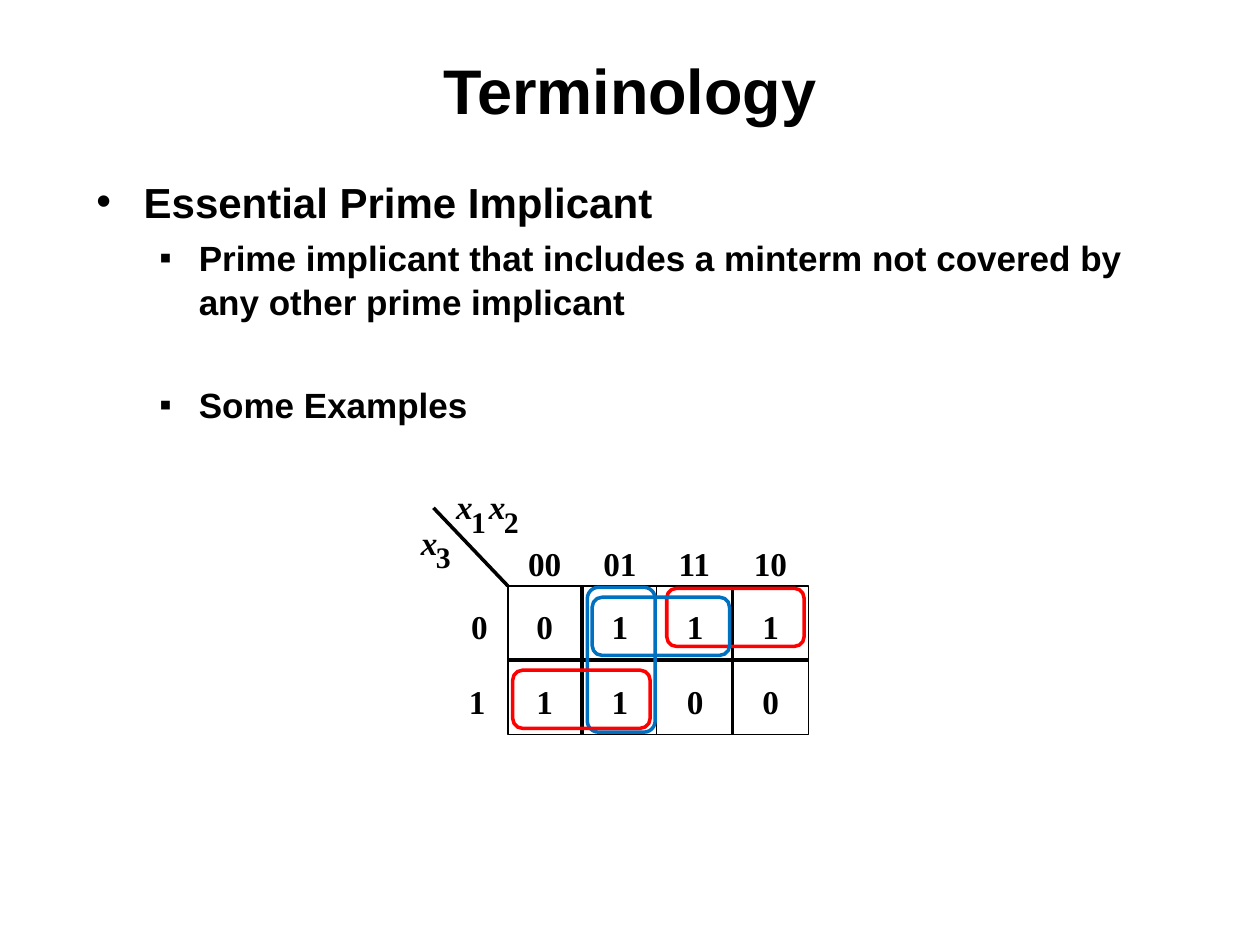
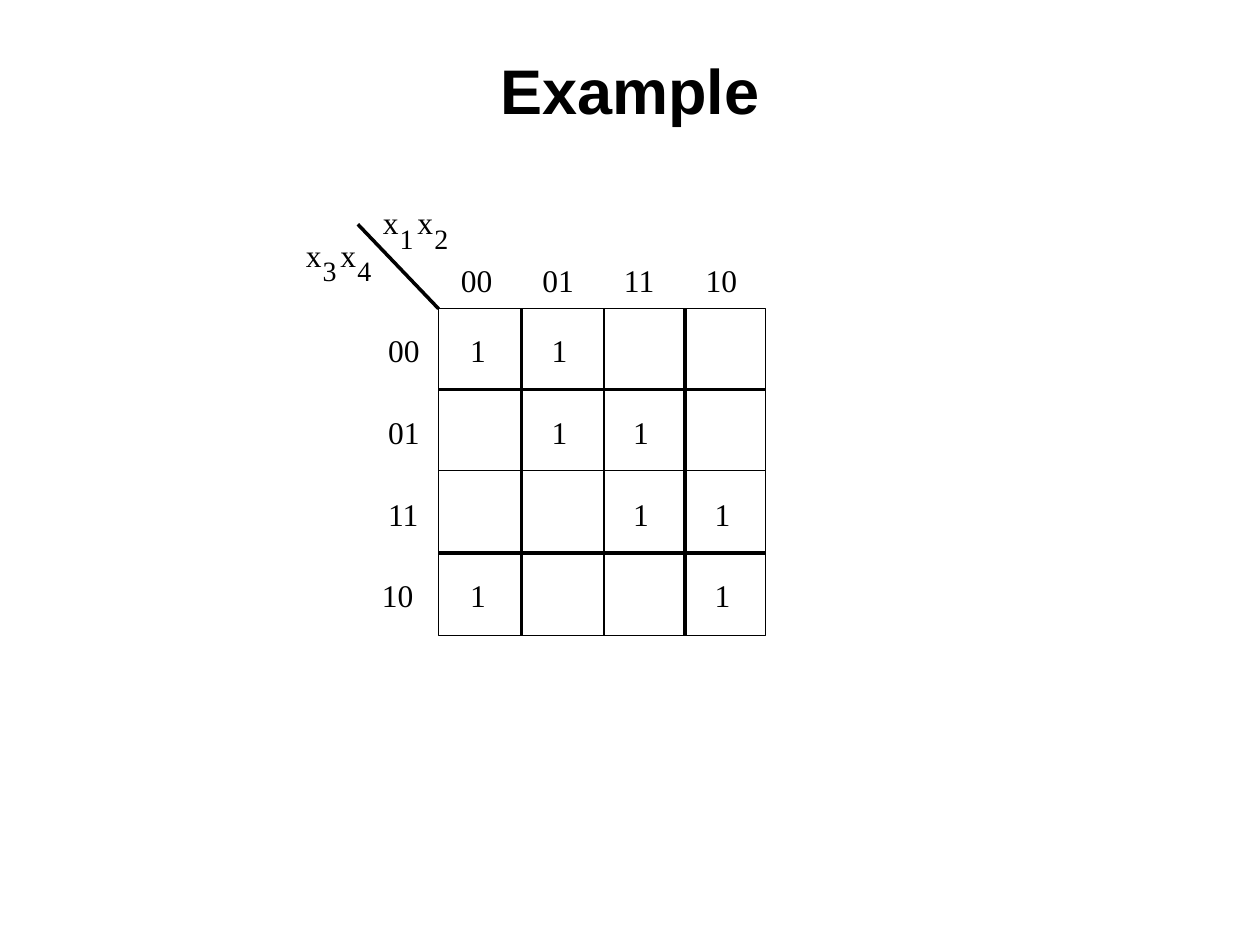
from dataclasses import dataclass

import pptx
import pptx.dml.color
import pptx.enum.shapes
import pptx.enum.text
import pptx.oxml.ns
import pptx.presentation
import pptx.shapes.autoshape
import pptx.shapes.connector
import pptx.slide
import pptx.util
from lxml import etree

Pt = pptx.util.Pt
RGBColor = pptx.dml.color.RGBColor
Shape = pptx.enum.shapes.MSO_SHAPE

BLACK = RGBColor(0x00, 0x00, 0x00)
BLUE = RGBColor(0x00, 0x70, 0xC0)
RED = RGBColor(0xFF, 0x00, 0x00)
HEADING_FONT = "Arial"
MAP_FONT = "Times New Roman"
GRAY_CODE = ("00", "01", "11", "10")


@dataclass(frozen=True)
class Bullet:
    text: str
    level: int
    mark: str
    size: float
    margin: float
    hanging: float
    space_before: float


@dataclass(frozen=True)
class Variable:
    """A letter x with its subscript."""
    subscript: str
    left: float
    top: float


@dataclass(frozen=True)
class Loop:
    """A rounded outline around a group of ones."""
    left: float
    top: float
    width: float
    height: float
    color: RGBColor


@dataclass(frozen=True)
class KarnaughMap:
    column_blocks: tuple[tuple[float, float], ...]  # left, width
    row_blocks: tuple[tuple[float, float], ...]  # top, height
    diagonal_start: tuple[float, float]
    cell_start: tuple[float, float]
    step: float
    header_start: tuple[float, float]
    row_labels: tuple[tuple[str, float], ...]  # text, left
    rows: tuple[str, ...]  # a dot is an empty cell
    variables: tuple[Variable, ...]
    subscript_offset: tuple[float, float]
    size: float
    subscript_size: float
    bold: bool = False
    italic_variables: bool = False


BULLETS = (
    Bullet("Essential Prime Implicant", 0, "•", 24, 27, 27, 0),
    Bullet("Prime implicant that includes a minterm not covered by any other "
           "prime implicant", 1, "▪", 20, 58.5, 22.5, 5),
    Bullet("Some Examples", 1, "▪", 20, 58.5, 22.5, 34),
)

THREE_VARIABLES = KarnaughMap(
    column_blocks=((290.2, 85), (375.2, 87)),
    row_blocks=((334.8, 85),),
    diagonal_start=(247.7, 290.2),
    cell_start=(306.6, 346.4),
    step=43,
    header_start=(301.8, 310.4),
    row_labels=(("0", 269.3), ("1", 268)),
    rows=("0111", "1100"),
    variables=(Variable("1", 260.7, 278), Variable("2", 279.4, 278),
               Variable("3", 240.5, 298.2)),
    subscript_offset=(8.6, 9.6),
    size=19,
    subscript_size=17,
    bold=True,
    italic_variables=True,
)

FOUR_VARIABLES = KarnaughMap(
    column_blocks=((250.6, 94.6), (345.2, 92.4)),
    row_blocks=((176.4, 92.4), (268.8, 94.4)),
    diagonal_start=(204.5, 128.2),
    cell_start=(268.6, 189.4),
    step=46.6,
    header_start=(263.4, 149),
    row_labels=(("00", 221.8), ("01", 221.8), ("11", 221.8), ("10", 218.2)),
    rows=("11..", ".11.", "..11", "1..1"),
    variables=(Variable("1", 218.8, 116), Variable("2", 238.6, 116),
               Variable("3", 174.8, 134.8), Variable("4", 194.6, 134.8)),
    subscript_offset=(9.6, 10.3),
    size=18,
    subscript_size=16,
)

LOOPS = (
    Loop(335.6, 335.6, 38.8, 82.8, BLUE),
    Loop(293, 383, 78.5, 33.2, RED),
    Loop(381, 336.2, 78.5, 33.2, RED),
    Loop(338.4, 341.3, 78.5, 33.2, BLUE),
)


def add_page(deck: pptx.presentation.Presentation, title: str) -> pptx.slide.Slide:
    page = deck.slides.add_slide(deck.slide_layouts[5])
    box = page.shapes.title
    box.left, box.top, box.width, box.height = Pt(0), Pt(24), Pt(720), Pt(54)
    frame = box.text_frame
    frame.text = title
    frame.vertical_anchor = pptx.enum.text.MSO_ANCHOR.MIDDLE
    para = frame.paragraphs[0]
    para.alignment = pptx.enum.text.PP_ALIGN.CENTER
    style_font(para.runs[0].font, HEADING_FONT, 36, bold=True)
    return page


def style_font(font: pptx.text.text.Font, name: str, size: float,
               bold: bool = False, italic: bool = False) -> None:
    font.name = name
    font.size = Pt(size)
    font.bold = bold
    font.italic = italic
    font.color.rgb = BLACK


def add_bullets(page: pptx.slide.Slide, bullets: tuple[Bullet, ...]) -> None:
    box = page.shapes.add_textbox(Pt(48), Pt(96), Pt(624), Pt(390))
    frame = box.text_frame
    frame.word_wrap = True
    frame.text = "\n".join(bullet.text for bullet in bullets)
    for para, bullet in zip(frame.paragraphs, bullets):
        para.level = bullet.level
        para.line_spacing = 1.04
        para.space_before = Pt(bullet.space_before)
        properties = para._p.get_or_add_pPr()
        properties.set("marL", str(Pt(bullet.margin)))
        properties.set("indent", str(-Pt(bullet.hanging)))
        mark_color = etree.SubElement(properties, pptx.oxml.ns.qn("a:buClr"))
        etree.SubElement(mark_color, pptx.oxml.ns.qn("a:srgbClr"), val=str(BLACK))
        etree.SubElement(properties, pptx.oxml.ns.qn("a:buFont"), typeface=HEADING_FONT)
        etree.SubElement(properties, pptx.oxml.ns.qn("a:buChar"), char=bullet.mark)
        style_font(para.runs[0].font, HEADING_FONT, bullet.size, bold=True)


def add_label(page: pptx.slide.Slide, text: str, left: float, top: float,
              size: float, bold: bool, italic: bool = False) -> None:
    box = page.shapes.add_textbox(Pt(left), Pt(top), Pt(len(text) * size * 0.57),
                                  Pt(size * 1.2))
    frame = box.text_frame
    frame.margin_left = frame.margin_top = frame.margin_right = frame.margin_bottom = 0
    frame.word_wrap = False
    frame.text = text
    style_font(frame.paragraphs[0].runs[0].font, MAP_FONT, size, bold, italic)


def add_outline(page: pptx.slide.Slide, kind: Shape, left: float, top: float,
                width: float, height: float, color: RGBColor,
                weight: float) -> pptx.shapes.autoshape.Shape:
    shape = page.shapes.add_shape(kind, Pt(left), Pt(top), Pt(width), Pt(height))
    shape.shadow.inherit = False
    shape.fill.background()
    shape.line.color.rgb = color
    shape.line.width = Pt(weight)
    return shape


def add_hairline(page: pptx.slide.Slide, start: tuple[float, float],
                 end: tuple[float, float]) -> pptx.shapes.connector.Connector:
    line = page.shapes.add_connector(
        pptx.enum.shapes.MSO_CONNECTOR.STRAIGHT, *(Pt(value) for value in start + end))
    line.line.color.rgb = BLACK
    line.line.width = Pt(0)
    etree.SubElement(line._element.spPr, pptx.oxml.ns.qn("a:effectLst"))
    return line


def add_block(page: pptx.slide.Slide, left: float, top: float,
              width: float, height: float) -> None:
    """Two by two cells: a rectangle cut by lines between its side middles."""
    block = add_outline(page, Shape.RECTANGLE, left, top, width, height, BLACK, 0)
    middle, center = top + height / 2, left + width / 2
    across = add_hairline(page, (left + width, middle), (left, middle))
    across.begin_connect(block, 3)
    across.end_connect(block, 1)
    upright = add_hairline(page, (center, top + height), (center, top))
    upright.begin_connect(block, 2)
    upright.end_connect(block, 0)


def add_map(page: pptx.slide.Slide, grid: KarnaughMap) -> None:
    # Grid and corner diagonal
    for top, height in grid.row_blocks:
        for left, width in grid.column_blocks:
            add_block(page, left, top, width, height)
    corner = (grid.column_blocks[0][0], grid.row_blocks[0][0])
    add_hairline(page, grid.diagonal_start, corner)

    # Variable names
    shift_x, shift_y = grid.subscript_offset
    for variable in grid.variables:
        add_label(page, "x", variable.left, variable.top, grid.size, grid.bold,
                  grid.italic_variables)
        add_label(page, variable.subscript, variable.left + shift_x,
                  variable.top + shift_y, grid.subscript_size, grid.bold)

    # Column headers, row labels and cell values
    header_left, header_top = grid.header_start
    for column, code in enumerate(GRAY_CODE):
        add_label(page, code, header_left + column * grid.step, header_top,
                  grid.size, grid.bold)
    cell_left, cell_top = grid.cell_start
    for row, (values, (label, label_left)) in enumerate(zip(grid.rows, grid.row_labels)):
        top = cell_top + row * grid.step
        add_label(page, label, label_left, top, grid.size, grid.bold)
        for column, value in enumerate(values):
            if value != ".":
                add_label(page, value, cell_left + column * grid.step, top,
                          grid.size, grid.bold)


def main() -> None:
    deck = pptx.Presentation()
    deck.slide_width, deck.slide_height = Pt(720), Pt(540)

    # Terminology
    page = add_page(deck, "Terminology")
    add_bullets(page, BULLETS)
    add_map(page, THREE_VARIABLES)
    for loop in LOOPS:
        add_outline(page, Shape.ROUNDED_RECTANGLE, loop.left, loop.top,
                    loop.width, loop.height, loop.color, 2)

    # Example
    page = add_page(deck, "Example")
    add_map(page, FOUR_VARIABLES)

    deck.save("out.pptx")


if __name__ == "__main__":
    main()
